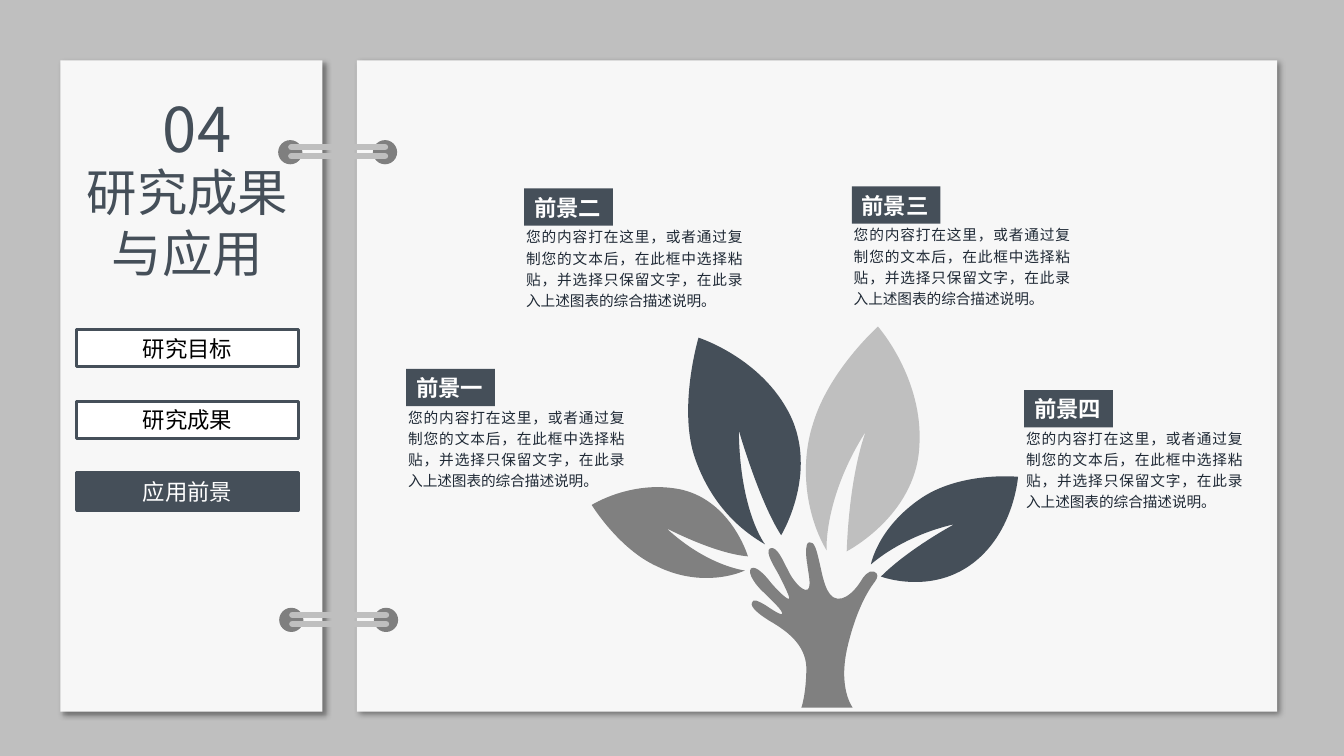
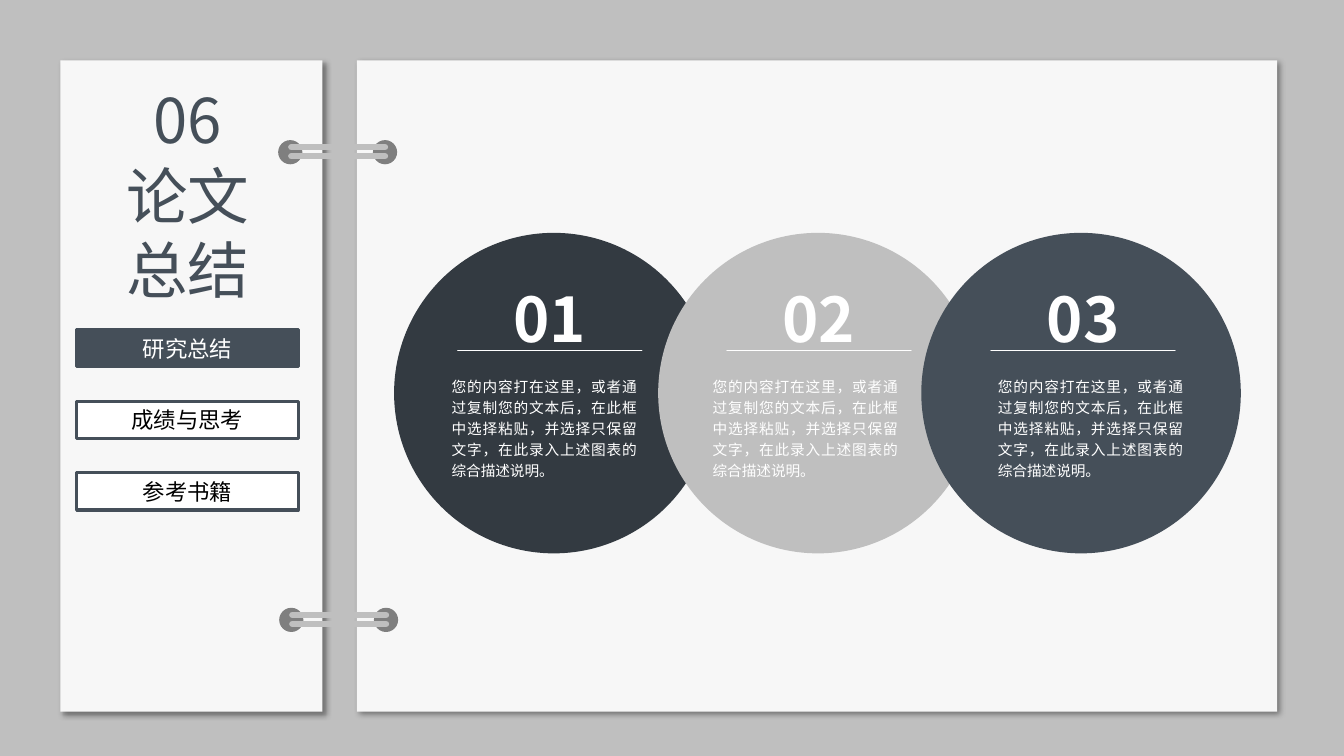
"""Build two ring-binder slides: a hand tree of prospects and three summary circles."""
from lxml import etree
from pptx import Presentation
from pptx.dml.color import RGBColor
from pptx.enum.shapes import MSO_CONNECTOR, MSO_SHAPE
from pptx.enum.text import MSO_AUTO_SIZE, PP_ALIGN
from pptx.oxml import parse_xml
from pptx.oxml.ns import nsdecls, qn
from pptx.util import Inches, Pt

RECTANGLE, OVAL = MSO_SHAPE.RECTANGLE, MSO_SHAPE.OVAL
STRAIGHT = MSO_CONNECTOR.STRAIGHT
LEFT, CENTER, JUSTIFY = PP_ALIGN.LEFT, PP_ALIGN.CENTER, PP_ALIGN.JUSTIFY
GROW = MSO_AUTO_SIZE.SHAPE_TO_FIT_TEXT

FONT = "Noto Sans CJK SC"
SLATE, DARK, INK = "454F59", "333A41", "202A36"
SILVER, GRAY, TRUNK = "BFBFBF", "7F7F7F", "808080"
PAPER, WHITE, BLACK = "F7F7F7", "FFFFFF", "000000"
BODY = "您的内容打在这里，或者通过复制您的文本后，在此框中选择粘贴，并选择只保留文字，在此录入上述图表的综合描述说明。"
BODY_STYLE = {"spacing": 1.2, "insets": (0.09, 0.04)}
SHADOW = (
    f'<a:effectLst {nsdecls("a")}><a:outerShdw blurRad="{Pt(4)}" dist="{Pt(3)}" dir="2700000" '
    'algn="tl" rotWithShape="0"><a:srgbClr val="000000"><a:alpha val="40000"/></a:srgbClr>'
    '</a:outerShdw></a:effectLst>'
)


def add_block(slide, kind, box, fill, outline=None):
    """Add a flat preset shape; box is left, top, width, height in inches."""
    shape = slide.shapes.add_shape(kind, *map(Inches, box))
    shape.shadow.inherit = False
    shape.fill.solid()
    shape.fill.fore_color.rgb = RGBColor.from_string(fill)
    if outline:
        shape.line.color.rgb = RGBColor.from_string(outline)
        shape.line.width = Pt(2.25)
    else:
        shape.line.fill.background()
    return shape


def write(shape, text, size, color, alignment=CENTER, bold=False, spacing=None,
          insets=(0.1, 0.05), wrap=True):
    """Put one styled paragraph into a shape."""
    frame = shape.text_frame
    frame.word_wrap = wrap
    frame.auto_size = GROW
    frame.margin_left = frame.margin_right = Inches(insets[0])
    frame.margin_top = frame.margin_bottom = Inches(insets[1])
    paragraph = frame.paragraphs[0]
    paragraph.text = text
    paragraph.alignment = alignment
    if spacing:
        paragraph.line_spacing = spacing
    font = paragraph.font
    font.name = FONT
    font.size = Pt(size)
    font.bold = bold
    font.color.rgb = RGBColor.from_string(color)
    defaults = paragraph._p.find(".//" + qn("a:defRPr"))
    etree.SubElement(defaults, qn("a:ea"), typeface=FONT)


presentation = Presentation()
presentation.slide_width = Inches(40 / 3)
presentation.slide_height = Inches(7.5)
background = presentation.slide_master.background.fill
background.solid()
background.fore_color.rgb = RGBColor.from_string(SILVER)

layout = presentation.slide_layouts[6]
for placeholder in list(layout.placeholders):
    layout.shapes.element.remove(placeholder.element)
tree_slide = presentation.slides.add_slide(layout)
circle_slide = presentation.slides.add_slide(layout)
lines = []

for left, width in ((0.6, 2.6), (3.54, 9.13)):
    page = add_block(tree_slide, RECTANGLE, (left, 0.6, width, 6.46), PAPER)
    properties = page.element.spPr
    properties.remove(properties.find(qn("a:effectLst")))
    properties.append(parse_xml(SHADOW))

for left, top in ((2.76, 1.39), (2.77, 6.03)):
    for hole_left in (left, left + 0.94):
        add_block(tree_slide, OVAL, (hole_left, top, 0.24, 0.24), GRAY)
    for wire_top in (top + 0.07, top + 0.16):
        wire = tree_slide.shapes.add_connector(
            STRAIGHT, Inches(left + 0.13), Inches(wire_top), Inches(left + 1.06), Inches(wire_top))
        lines.append((wire, SILVER, 4.5))

for shape in list(tree_slide.shapes):
    layout.shapes.element.append(shape.element)

sidebars = (
    (tree_slide, "04", (1.47, 0.85, 0.97, 0.84), "研究成果与应用", (0.68, 1.55, 2.36, 1.31), 36,
     ("研究目标", "研究成果", "应用前景"), 2),
    (circle_slide, "06", (1.38, 0.76, 0.97, 0.84), "论文总结", (0.92, 1.52, 1.89, 1.58), 44,
     ("研究总结", "成绩与思考", "参考书籍"), 0),
)
for slide, number, number_box, title, title_box, title_size, sections, current in sidebars:
    write(slide.shapes.add_textbox(*map(Inches, title_box)), title, title_size, SLATE)
    for index, section in enumerate(sections):
        fill, color = (SLATE, WHITE) if index == current else (WHITE, BLACK)
        button = add_block(slide, RECTANGLE, (0.76, 3.27 + 0.71 * index, 2.2, 0.37), fill, SLATE)
        write(button, section, 16, color)
    write(slide.shapes.add_textbox(*map(Inches, number_box)), number, 44, SLATE, wrap=False)

hand = (
    (7.95, 7.02), (8.46, 7.02), (8.46, 7.02), (8.46, 7.02), (8.46, 7.02), (8.31, 6.83), (8.41, 6.41),
    (8.51, 5.99), (8.65, 5.81), (8.68, 5.77), (8.71, 5.73), (8.72, 5.69), (8.67, 5.67),
    (8.62, 5.65), (8.56, 5.73), (8.55, 5.75), (8.54, 5.77), (8.43, 5.95), (8.31, 5.94),
    (8.19, 5.93), (8.16, 5.7), (8.13, 5.58), (8.1, 5.45), (8.08, 5.37), (8.03, 5.38),
    (7.98, 5.38), (8, 5.56), (8.01, 5.6), (8.01, 5.64), (8.06, 5.83), (8.01, 5.85),
    (7.96, 5.87), (7.86, 5.75), (7.82, 5.66), (7.77, 5.57), (7.71, 5.41), (7.64, 5.44),
    (7.58, 5.47), (7.7, 5.65), (7.72, 5.69), (7.74, 5.73), (7.84, 5.92), (7.83, 5.94),
    (7.81, 5.96), (7.67, 5.81), (7.64, 5.77), (7.61, 5.73), (7.5, 5.6), (7.45, 5.64),
    (7.41, 5.69), (7.51, 5.82), (7.58, 5.88), (7.65, 5.95), (7.77, 6.06), (7.76, 6.09),
    (7.74, 6.11), (7.61, 6.01), (7.57, 5.99), (7.53, 5.97), (7.47, 5.93), (7.46, 5.98),
    (7.44, 6.02), (7.53, 6.1), (7.67, 6.18), (7.8, 6.26), (7.99, 6.39), (8, 6.62),
    (8, 6.85), (7.96, 7), (7.95, 7.02),
)
right_leaf = (
    (8.74, 5.72), (8.74, 5.72), (9.35, 5.95), (9.79, 5.46), (10.07, 5.15), (10.1, 4.73), (10.1, 4.73),
    (10.1, 4.73), (9.5, 4.67), (9.1, 4.97), (8.7, 5.26), (8.64, 5.6), (8.64, 5.6),
    (8.64, 5.6), (8.94, 5.32), (9.47, 5.2), (9.47, 5.2), (9.02, 5.44), (8.74, 5.72),
)
upper_right_leaf = (
    (8.4, 5.47), (8.4, 5.47), (9.08, 5.12), (9.12, 4.44), (9.17, 3.76), (8.71, 3.24), (8.71, 3.24),
    (8.71, 3.24), (8.23, 3.67), (8.07, 4.19), (7.92, 4.64), (8.01, 5.14), (8.2, 5.46),
    (8.2, 5.46), (8.17, 4.94), (8.59, 4.28), (8.59, 4.28), (8.43, 4.67), (8.4, 5.47),
)
upper_left_leaf = (
    (7.75, 5.31), (7.75, 5.31), (8.12, 4.7), (7.84, 4.12), (7.56, 3.55), (6.93, 3.35), (6.93, 3.35),
    (6.93, 3.35), (6.72, 4.06), (6.9, 4.56), (7.08, 5.06), (7.4, 5.29), (7.59, 5.4),
    (7.59, 5.4), (7.34, 5.08), (7.33, 4.27), (7.33, 4.27), (7.53, 4.97), (7.75, 5.31),
)
left_leaf = (
    (7.42, 5.52), (7.42, 5.52), (7.26, 4.98), (6.77, 4.86), (6.28, 4.75), (5.87, 5.01), (5.87, 5.01),
    (5.87, 5.01), (6.14, 5.45), (6.52, 5.62), (6.91, 5.81), (7.26, 5.72), (7.39, 5.66),
    (7.39, 5.66), (7.02, 5.62), (6.61, 5.24), (6.61, 5.24), (7.08, 5.49), (7.42, 5.52),
)
outlines = ((hand, TRUNK), (right_leaf, SLATE), (upper_right_leaf, SILVER),
            (upper_left_leaf, SLATE), (left_leaf, TRUNK))
for points, color in outlines:
    builder = tree_slide.shapes.build_freeform(*map(Inches, points[0]))
    builder.add_line_segments([tuple(map(Inches, point)) for point in points[1:]], close=True)
    shape = builder.convert_to_shape()
    segments = list(shape.element.iter(qn("a:lnTo")))
    for start in range(0, len(segments), 3):
        curve = etree.Element(qn("a:cubicBezTo"))
        segments[start].addprevious(curve)
        for segment in segments[start:start + 3]:
            curve.append(segment[0])
            segment.getparent().remove(segment)
    shape.shadow.inherit = False
    shape.fill.solid()
    shape.fill.fore_color.rgb = RGBColor.from_string(color)
    shape.line.fill.background()

prospects = (("前景一", 4.03, 3.66), ("前景二", 5.2, 1.87), ("前景三", 8.45, 1.85), ("前景四", 10.16, 3.87))
for label, left, top in prospects:
    description = tree_slide.shapes.add_textbox(
        Inches(left - 0.07), Inches(top + 0.32), Inches(2.33), Inches(0.92))
    write(description, BODY, 10.5, INK, JUSTIFY, **BODY_STYLE)
    tag = add_block(tree_slide, RECTANGLE, (left, top, 0.88, 0.37), SLATE)
    write(tag, label, 16, WHITE, LEFT, bold=True, wrap=False)

circles = (("01", DARK, 3.91, 4.78, 4.39), ("02", SILVER, 6.53, 7.45, 6.98), ("03", SLATE, 9.14, 10.07, 9.81))
for number, fill, circle_left, number_left, body_left in circles:
    add_block(circle_slide, OVAL, (circle_left, 2.31, 3.17, 3.18), fill)
    heading = circle_slide.shapes.add_textbox(
        Inches(number_left), Inches(2.64), Inches(1.35), Inches(0.79))
    write(heading, number, 44, WHITE, bold=True, spacing=1.2, insets=(0, 0))
    divider = circle_slide.shapes.add_connector(
        STRAIGHT, Inches(number_left - 0.24), Inches(3.48), Inches(number_left + 1.59), Inches(3.48))
    lines.append((divider, WHITE, 0.5))
    description = circle_slide.shapes.add_textbox(
        Inches(body_left), Inches(3.67), Inches(2.02), Inches(1.15))
    write(description, BODY, 10.5, WHITE, JUSTIFY, **BODY_STYLE)

for connector, color, width in lines:
    connector.line.color.rgb = RGBColor.from_string(color)
    connector.line.width = Pt(width)
    properties = connector.element.spPr
    properties.find(qn("a:ln")).set("cap", "rnd")
    etree.SubElement(properties, qn("a:effectLst"))

presentation.save("out.pptx")
